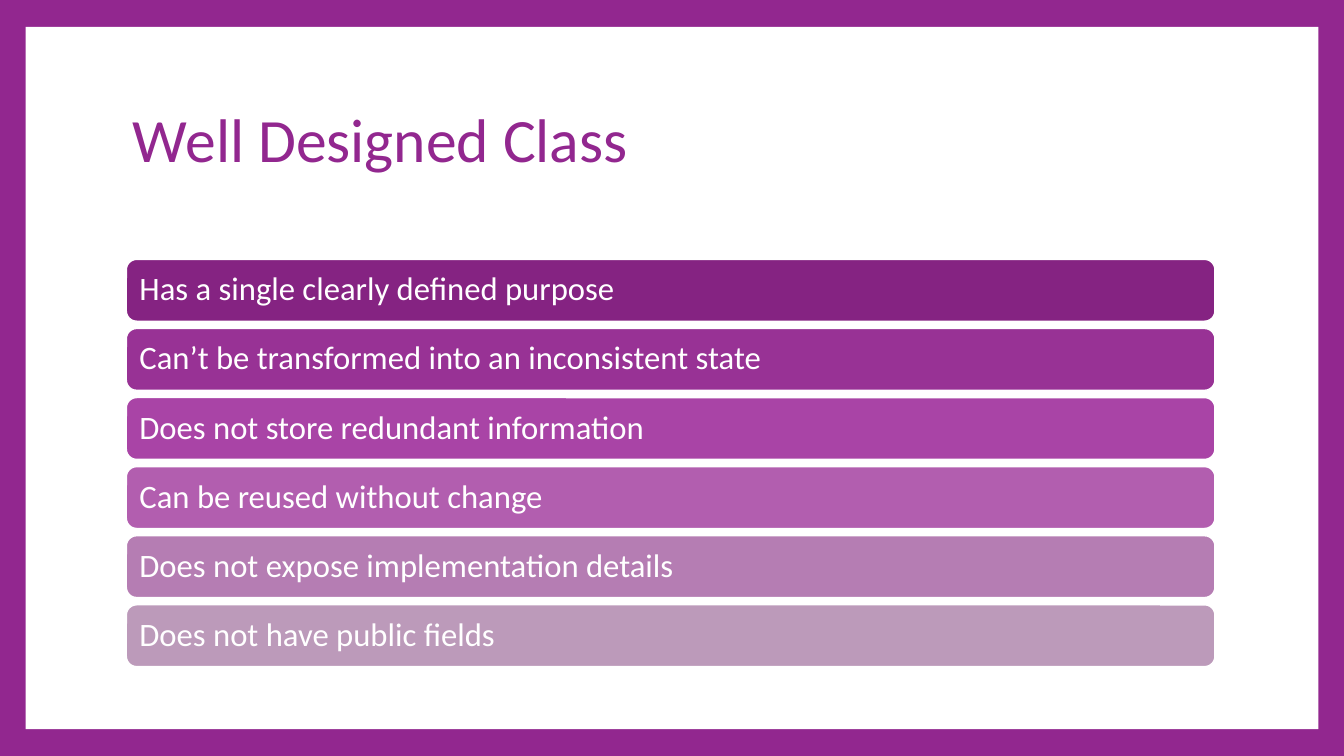
from dataclasses import dataclass

from pptx import Presentation
from pptx.dml.color import RGBColor
from pptx.enum.shapes import MSO_SHAPE
from pptx.enum.text import MSO_ANCHOR, PP_ALIGN
from pptx.util import Inches, Pt


@dataclass(frozen=True)
class Theme:
    font: str = "Calibri"
    accent: str = "92278F"
    paper: str = "FFFFFF"
    bars: tuple = ("852382", "983295", "A944A6", "B25EAF", "B57DB3", "BC9ABA")
    title_size: int = 66
    bar_size: int = 35


THEME = Theme()
WIDTH, HEIGHT = 20, 11.25
LEFT, CONTENT_WIDTH = 1.88, 16.2
BARS_TOP, LAST_BAR_TOP, BAR_HEIGHT = 3.86, 9, 0.92

QUALITIES = (
    "Has a single clearly defined purpose",
    "Can’t be transformed into an inconsistent state",
    "Does not store redundant information",
    "Can be reused without change",
    "Does not expose implementation details",
    "Does not have public fields",
)


def add_text(sp, text, *, size, color, inset=0.1):
    tf = sp.text_frame
    tf.word_wrap = True
    tf.vertical_anchor = MSO_ANCHOR.MIDDLE
    tf.margin_left = tf.margin_right = Inches(inset)
    tf.margin_top = tf.margin_bottom = Inches(inset)
    p = tf.paragraphs[0]
    p.alignment = PP_ALIGN.LEFT
    p.line_spacing = 0.9
    r = p.add_run()
    r.text = text
    r.font.name = THEME.font
    r.font.size = Pt(size)
    r.font.color.rgb = RGBColor.from_string(color)


def add_box(s, kind, box, fill, line=None):
    sp = s.shapes.add_shape(kind, *map(Inches, box))
    sp.shadow.inherit = False
    sp.fill.solid()
    sp.fill.fore_color.rgb = RGBColor.from_string(fill)
    if line:
        sp.line.color.rgb = RGBColor.from_string(line)
        sp.line.width = Pt(1.5)
    else:
        sp.line.fill.background()
    return sp


def add_frame(s):
    """Colour the background and lay the white page on it, leaving a border."""
    s.background.fill.solid()
    s.background.fill.fore_color.rgb = RGBColor.from_string(THEME.accent)
    x, y = 0.38, 0.4
    add_box(s, MSO_SHAPE.RECTANGLE, (x, y, WIDTH - 2 * x, HEIGHT - 2 * y), THEME.paper)


def add_title(s, text):
    sp = s.shapes.add_textbox(*map(Inches, (LEFT, 1, CONTENT_WIDTH, 2.23)))
    add_text(sp, text, size=THEME.title_size, color=THEME.accent)


def add_bars(s, texts):
    pitch = (LAST_BAR_TOP - BARS_TOP) / (len(texts) - 1)
    for row, (text, fill) in enumerate(zip(texts, THEME.bars)):
        box = (LEFT, BARS_TOP + row * pitch, CONTENT_WIDTH, BAR_HEIGHT)
        sp = add_box(s, MSO_SHAPE.ROUNDED_RECTANGLE, box, fill, THEME.paper)
        add_text(sp, text, size=THEME.bar_size, color=THEME.paper, inset=0.15)


def main():
    prs = Presentation()
    prs.slide_width, prs.slide_height = Inches(WIDTH), Inches(HEIGHT)
    s = prs.slides.add_slide(prs.slide_layouts[6])
    add_frame(s)
    add_title(s, "Well Designed Class")
    add_bars(s, QUALITIES)
    prs.save("out.pptx")


if __name__ == "__main__":
    main()
